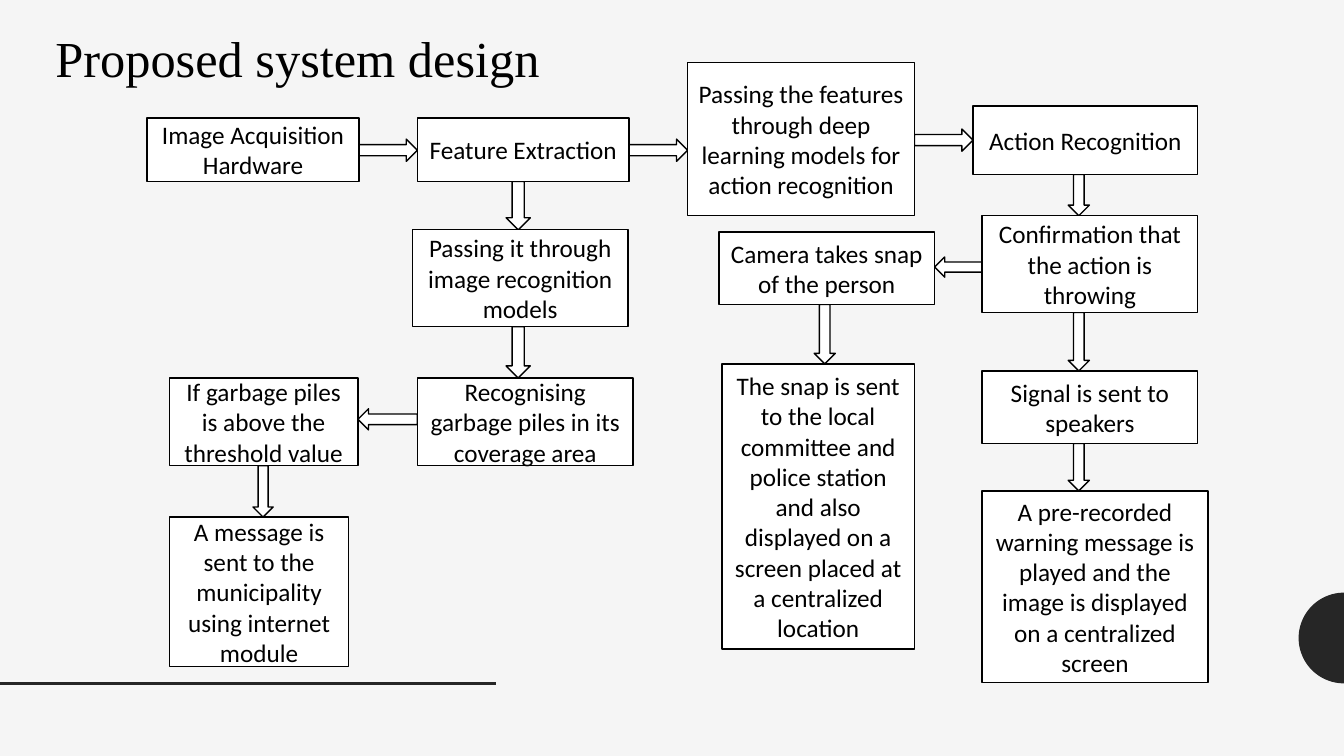
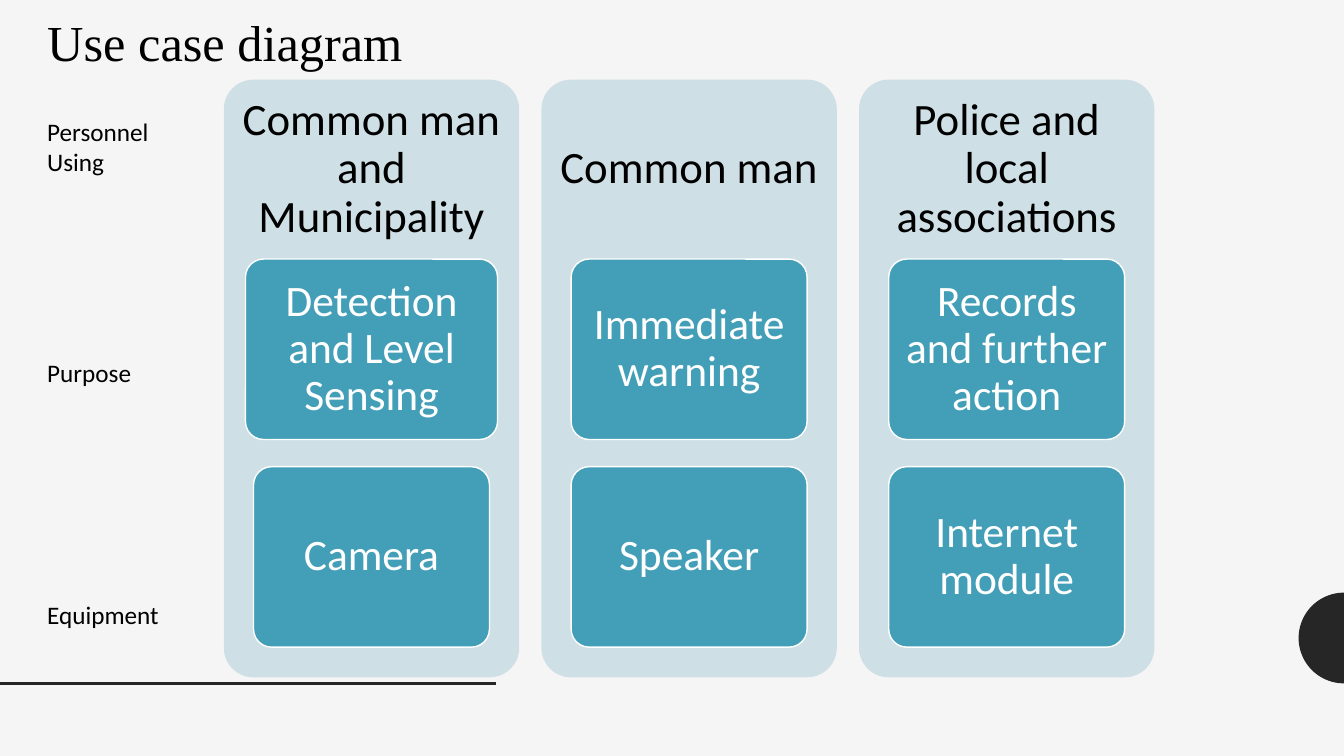
"""Build the system design and use case slides."""
from dataclasses import dataclass
from math import cos, pi, sin

from lxml import etree
from pptx import Presentation
from pptx import util as u
from pptx.dml.color import RGBColor
from pptx.enum import shapes, text
from pptx.oxml import ns

PAPER = RGBColor(0xF5, 0xF5, 0xF5)
INK = RGBColor(0x26, 0x26, 0x26)
BLACK = RGBColor(0, 0, 0)
WHITE = RGBColor(0xFF, 0xFF, 0xFF)
PANEL = RGBColor(0xCF, 0xDF, 0xE6)
TEAL = RGBColor(0x43, 0x9E, 0xB7)
Shape = shapes.MSO_SHAPE


@dataclass(frozen=True)
class Area:
    left: float
    top: float
    width: float
    height: float

    @property
    def right(self) -> float:
        return self.left + self.width

    @property
    def bottom(self) -> float:
        return self.top + self.height

    def lengths(self) -> list[int]:
        return [u.Inches(n) for n in (self.left, self.top, self.width, self.height)]


@dataclass(frozen=True)
class TextStyle:
    size: int
    color: RGBColor = BLACK
    font: str = "Calibri"
    align: text.PP_ALIGN = text.PP_ALIGN.CENTER
    anchor: text.MSO_ANCHOR = text.MSO_ANCHOR.MIDDLE
    spacing: float = 1.0
    margins: tuple[float, float, float, float] = (0.1, 0.05, 0.1, 0.05)


@dataclass(frozen=True)
class Step:
    area: Area
    words: str


@dataclass(frozen=True)
class Flow:
    source: str
    target: str
    kind: Shape
    centre: float
    thickness: float


@dataclass(frozen=True)
class UseCase:
    personnel: str
    purpose: str
    equipment: str
    purpose_width: float = 2.34


LEFT, TOP = text.PP_ALIGN.LEFT, text.MSO_ANCHOR.TOP
TITLE = TextStyle(36, font="Times New Roman", align=LEFT, anchor=TOP)
LABEL = TextStyle(18, align=LEFT, anchor=TOP)
STEP = TextStyle(18)
HEADING = TextStyle(32, spacing=0.9, margins=(0.05, 0.05, 0.05, 4.2))
TILE = TextStyle(31, WHITE, spacing=0.9, margins=(0.09, 0.06, 0.09, 0.06))

STEPS = {
    "hardware": Step(Area(1.46, 1.17, 2.1, 0.63), "Image Acquisition Hardware"),
    "features": Step(Area(4.14, 1.17, 2.1, 0.63), "Feature Extraction"),
    "learning": Step(Area(6.82, 0.62, 2.25, 1.52),
                     "Passing the features through deep learning models for action recognition"),
    "action": Step(Area(9.65, 1.05, 2.23, 0.68), "Action Recognition"),
    "models": Step(Area(4.09, 2.28, 2.14, 0.96), "Passing it through image recognition models"),
    "piles": Step(Area(4.14, 3.75, 2.14, 0.87), "Recognising garbage piles in its coverage area"),
    "threshold": Step(Area(1.68, 3.75, 1.87, 0.87), "If garbage piles is above the threshold value"),
    "message": Step(Area(1.68, 5.13, 1.78, 1.48),
                    "A message is sent to the municipality using internet module"),
    "throwing": Step(Area(9.74, 2.14, 2.14, 0.96), "Confirmation that the action is throwing"),
    "signal": Step(Area(9.74, 3.68, 2.14, 0.72), "Signal is sent to speakers"),
    "warning": Step(Area(9.74, 4.87, 2.24, 1.9),
                    "A pre-recorded warning message is played and the image is displayed "
                    "on a centralized screen"),
    "camera": Step(Area(7.13, 2.3, 2.14, 0.72), "Camera takes snap of the person"),
    "snap": Step(Area(7.16, 3.61, 1.91, 2.83),
                 "The snap is sent to the local committee and police station and also "
                 "displayed on a screen placed at a centralized location"),
}
FLOWS = [
    Flow("hardware", "features", Shape.RIGHT_ARROW, 1.49, 0.22),
    Flow("features", "learning", Shape.RIGHT_ARROW, 1.49, 0.22),
    Flow("learning", "action", Shape.RIGHT_ARROW, 1.39, 0.22),
    Flow("features", "models", Shape.DOWN_ARROW, 5.14, 0.24),
    Flow("models", "piles", Shape.DOWN_ARROW, 5.14, 0.24),
    Flow("piles", "threshold", Shape.LEFT_ARROW, 4.16, 0.21),
    Flow("threshold", "message", Shape.DOWN_ARROW, 2.61, 0.2),
    Flow("action", "throwing", Shape.DOWN_ARROW, 10.7, 0.21),
    Flow("throwing", "signal", Shape.DOWN_ARROW, 10.7, 0.21),
    Flow("signal", "warning", Shape.DOWN_ARROW, 10.7, 0.21),
    Flow("throwing", "camera", Shape.LEFT_ARROW, 2.65, 0.2),
    Flow("camera", "snap", Shape.DOWN_ARROW, 8.18, 0.21),
]
USE_CASES = [
    UseCase("Common man and Municipality", "Detection and Level Sensing", "Camera", 2.5),
    UseCase("Common man", "Immediate warning", "Speaker"),
    UseCase("Police and local associations", "Records and further action", "Internet module"),
]
ROW_LABELS = ["Personnel Using", "Purpose", "Equipment"]


def write(box, words: str, style: TextStyle) -> None:
    frame = box.text_frame
    frame.word_wrap = True
    frame.vertical_anchor = style.anchor
    (frame.margin_left, frame.margin_top,
     frame.margin_right, frame.margin_bottom) = map(u.Inches, style.margins)
    para = frame.paragraphs[0]
    para.alignment = style.align
    para.line_spacing = style.spacing
    span = para.add_run()
    span.text = words
    span.font.name = style.font
    span.font.size = u.Pt(style.size)
    span.font.color.rgb = style.color


def add_text(page, area: Area, words: str, style: TextStyle) -> None:
    write(page.shapes.add_textbox(*area.lengths()), words, style)


def paint(shape, fill: RGBColor, line: RGBColor | None = None) -> None:
    shape.shadow.inherit = False
    shape.fill.solid()
    shape.fill.fore_color.rgb = fill
    if line is None:
        shape.line.fill.background()
    else:
        shape.line.color.rgb = line
        shape.line.width = u.Pt(1)


def add_box(page, kind: Shape, area: Area, fill: RGBColor, line: RGBColor | None = None):
    box = page.shapes.add_shape(kind, *area.lengths())
    paint(box, fill, line)
    if kind == Shape.ROUNDED_RECTANGLE:
        box.adjustments[0] = 0.1
    return box


def add_page(deck, title: str, title_area: Area):
    page = deck.slides.add_slide(deck.slide_layouts[6])
    angles = [pi / 2 + pi * step / 48 for step in range(49)]
    points = [(u.Inches(13.33 + 0.45 * cos(a)), u.Inches(6.33 + 0.45 * sin(a))) for a in angles]
    outline = page.shapes.build_freeform(*points[0])
    outline.add_line_segments(points[1:], close=True)
    paint(outline.convert_to_shape(), INK)

    rule = page.shapes.add_connector(
        shapes.MSO_CONNECTOR.STRAIGHT, 0, u.Inches(6.78), u.Inches(4.92), u.Inches(6.78))
    rule.line.color.rgb = INK
    rule.line.width = u.Pt(2)
    etree.SubElement(rule._element.spPr, ns.qn("a:effectLst"))
    add_text(page, title_area, title, TITLE)
    return page


def add_flow(page, flow: Flow) -> None:
    source, target = STEPS[flow.source].area, STEPS[flow.target].area
    edge = flow.centre - flow.thickness / 2
    if flow.kind == Shape.DOWN_ARROW:
        area = Area(edge, source.bottom, flow.thickness, target.top - source.bottom)
    else:
        first, second = sorted((source, target), key=lambda item: item.left)
        area = Area(first.right, edge, second.left - first.right, flow.thickness)
    add_box(page, flow.kind, area, WHITE, BLACK)


def build_system_design(deck) -> None:
    page = add_page(deck, "Proposed system design", Area(0.45, 0.22, 5.79, 0.71))
    for flow in FLOWS:
        add_flow(page, flow)
    for step in STEPS.values():
        write(add_box(page, Shape.RECTANGLE, step.area, WHITE, BLACK), step.words, STEP)


def build_use_cases(deck) -> None:
    page = add_page(deck, "Use case diagram", Area(0.37, 0.06, 6.61, 0.71))
    for column, case in enumerate(USE_CASES):
        panel = Area(2.22 + 3.15 * column, 0.79, 2.93, 5.93)
        write(add_box(page, Shape.ROUNDED_RECTANGLE, panel, PANEL), case.personnel, HEADING)
        tiles = [(case.purpose, case.purpose_width), (case.equipment, 2.34)]
        for row, (words, width) in enumerate(tiles):
            area = Area(panel.left + (panel.width - width) / 2, 2.57 + 2.06 * row, width, 1.79)
            write(add_box(page, Shape.ROUNDED_RECTANGLE, area, TEAL, WHITE), words, TILE)
    for row, label in enumerate(ROW_LABELS):
        add_text(page, Area(0.37, 1.1 + 2.4 * row, 1.37, 0.4), label, LABEL)


def main() -> None:
    deck = Presentation()
    deck.slide_width, deck.slide_height = u.Inches(13.33), u.Inches(7.5)
    backdrop = deck.slide_master.background.fill
    backdrop.solid()
    backdrop.fore_color.rgb = PAPER
    build_system_design(deck)
    build_use_cases(deck)
    deck.save("out.pptx")


if __name__ == "__main__":
    main()
